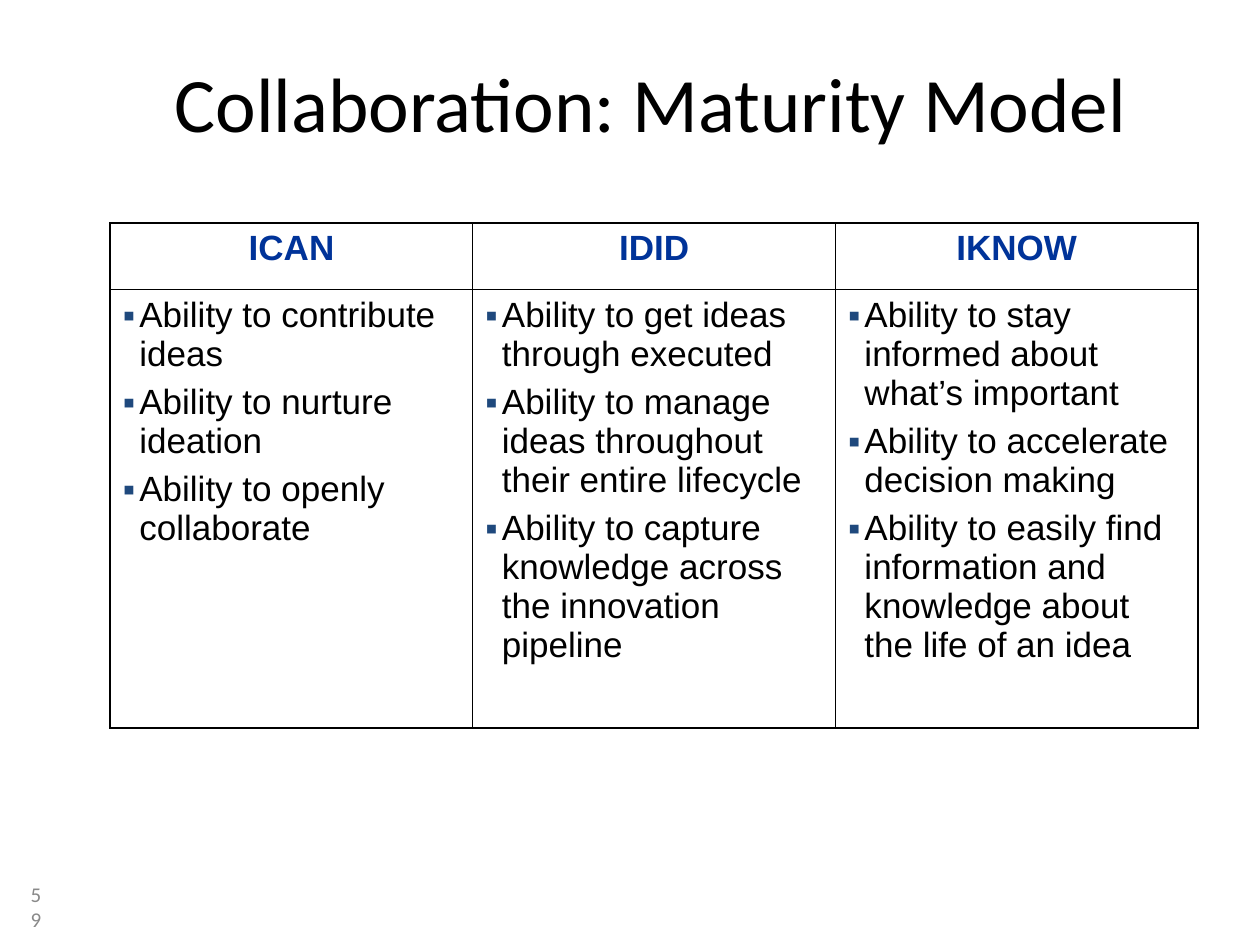
from lxml.etree import SubElement
from pptx import Presentation
from pptx.dml.color import RGBColor
from pptx.enum.text import MSO_ANCHOR, PP_ALIGN
from pptx.oxml.ns import qn
from pptx.util import Pt

COLORS = {
    "text": "000000",
    "heading": "003399",
    "bullet": "1F497D",
    "border": "000000",
    "page": "898989",
}
OUTER, INNER = Pt(1.08), Pt(0.45)
MATURITY = {
    "ICAN": [
        "Ability to contribute ideas",
        "Ability to nurture ideation",
        "Ability to openly collaborate",
    ],
    "IDID": [
        "Ability to get ideas through executed",
        "Ability to manage ideas throughout their entire lifecycle",
        "Ability to capture knowledge across the innovation pipeline",
    ],
    "IKNOW": [
        "Ability to stay informed about what’s important",
        "Ability to accelerate decision making",
        "Ability to easily find information and knowledge about the life of an idea",
    ],
}


def set_font(paragraph, name, size, color, bold=False):
    font = paragraph.font
    font.name, font.size, font.bold = name, Pt(size), bold
    font.color.rgb = RGBColor.from_string(COLORS[color])


def add_bullet(paragraph):
    props = paragraph._p.get_or_add_pPr()
    props.set("marL", str(Pt(9.4)))
    props.set("indent", str(-Pt(9.4)))
    bullet_color = SubElement(props, qn("a:buClr"))
    SubElement(bullet_color, qn("a:srgbClr"), val=COLORS["bullet"])
    SubElement(props, qn("a:buFont"), typeface="Arial")
    SubElement(props, qn("a:buChar"), char="▪")


def set_borders(cell, widths):
    """Draw the cell's sides; widths maps L, R, T, B, in that order, to line widths."""
    props = cell._tc.get_or_add_tcPr()
    for side, width in widths.items():
        line = SubElement(props, qn(f"a:ln{side}"), w=str(width))
        line_fill = SubElement(line, qn("a:solidFill"))
        SubElement(line_fill, qn("a:srgbClr"), val=COLORS["border"])


def place_title(slide, left, top, width, height):
    title = slide.shapes.title
    title.left, title.top, title.width, title.height = left, top, width, height
    frame = title.text_frame
    frame.text = "Collaboration: Maturity Model"
    frame.vertical_anchor = MSO_ANCHOR.MIDDLE
    heading = frame.paragraphs[0]
    heading.alignment = PP_ALIGN.CENTER
    set_font(heading, "Calibri", 44, "text")


def add_maturity_table(slide, left, top, width, height):
    header_height = Pt(38.2)
    last = len(MATURITY) - 1
    table = slide.shapes.add_table(2, len(MATURITY), left, top, width, height).table
    table.first_row = table.horz_banding = False
    table.rows[0].height = header_height
    table.rows[1].height = height - header_height

    for col, (stage, abilities) in enumerate(MATURITY.items()):
        header, body = table.cell(0, col), table.cell(1, col)
        for row, cell in enumerate((header, body)):
            set_borders(cell, {
                "L": OUTER if col == 0 else INNER,
                "R": OUTER if col == last else INNER,
                "T": OUTER if row == 0 else INNER,
                "B": OUTER if row == 1 else INNER,
            })
            cell.fill.background()

        header.text = stage
        heading = header.text_frame.paragraphs[0]
        heading.alignment = PP_ALIGN.CENTER
        set_font(heading, "Arial", 20, "heading", bold=True)

        body.text = "\n".join(abilities)
        for index, ability in enumerate(body.text_frame.paragraphs):
            add_bullet(ability)
            ability.space_before = Pt(5 if index else 0)
            set_font(ability, "Arial", 20, "text")


def add_page_number(slide, left, top, width, height):
    frame = slide.shapes.add_textbox(left, top, width, height).text_frame
    frame.word_wrap = True
    frame.vertical_anchor = MSO_ANCHOR.MIDDLE
    frame.text = "59"
    number = frame.paragraphs[0]
    number.alignment = PP_ALIGN.CENTER
    set_font(number, "Calibri", 12, "page")


def main():
    deck = Presentation()
    deck.slide_width, deck.slide_height = Pt(720), Pt(540)
    slide = deck.slides.add_slide(deck.slide_layouts[5])
    place_title(slide, Pt(72), Pt(34), Pt(600), Pt(48))
    add_maturity_table(slide, Pt(63), Pt(127.4), Pt(621.6), Pt(288.7))
    add_page_number(slide, Pt(8.6), Pt(510), Pt(23.8), Pt(16.6))
    deck.save("out.pptx")


if __name__ == "__main__":
    main()
